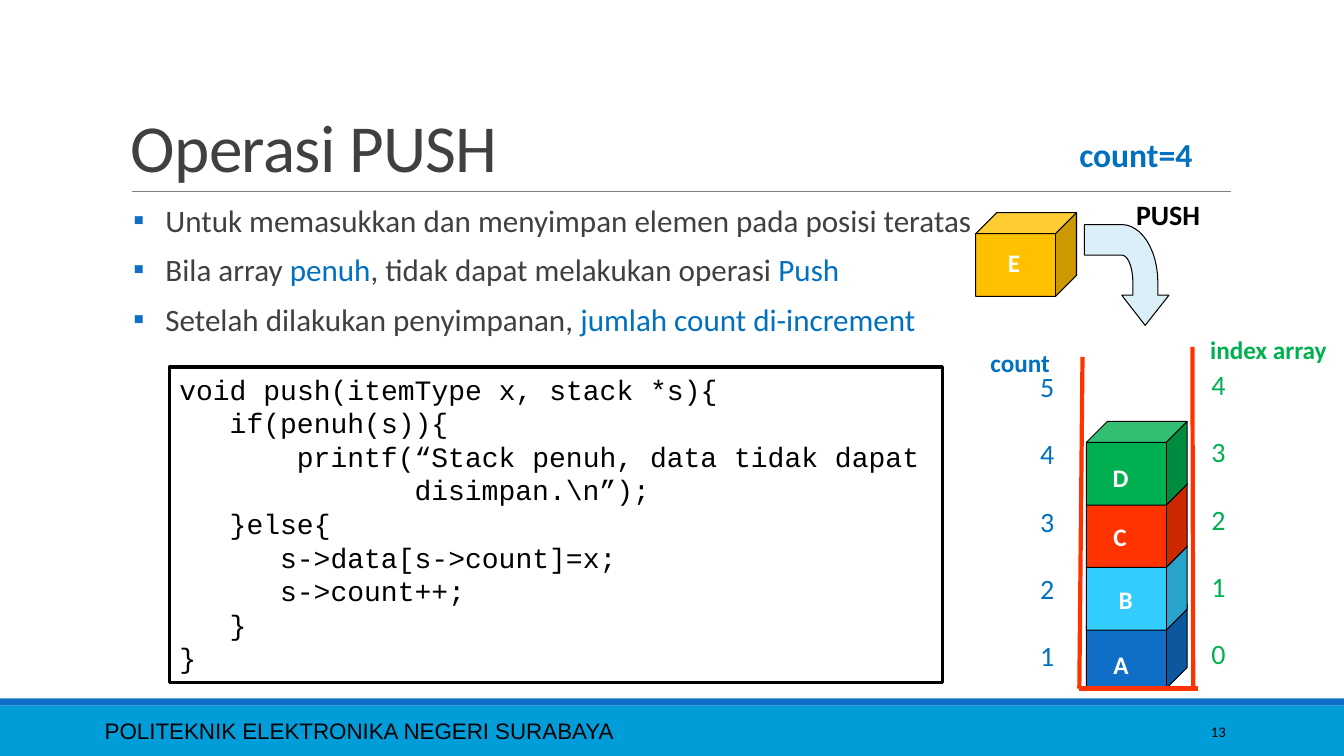
from dataclasses import dataclass
from math import cos, pi, sin

from lxml import etree
from pptx import Presentation
from pptx.dml.color import RGBColor
from pptx.enum.shapes import MSO_CONNECTOR, MSO_SHAPE
from pptx.enum.text import MSO_ANCHOR, PP_ALIGN
from pptx.oxml.ns import qn
from pptx.util import Cm, Pt

RECTANGLE, CUBE = MSO_SHAPE.RECTANGLE, MSO_SHAPE.CUBE
STRAIGHT = MSO_CONNECTOR.STRAIGHT
TOP, MIDDLE, BOTTOM = MSO_ANCHOR.TOP, MSO_ANCHOR.MIDDLE, MSO_ANCHOR.BOTTOM
LEFT, CENTER, RIGHT = PP_ALIGN.LEFT, PP_ALIGN.CENTER, PP_ALIGN.RIGHT


@dataclass(frozen=True)
class Theme:
    sans: str = "Calibri"
    footer_font: str = "Arial"
    mono: str = "Courier New"
    band: str = "009DD9"
    accent: str = "0F6FC6"
    rule: str = "808080"
    ink: str = "404040"
    black: str = "000000"
    white: str = "FFFFFF"
    blue: str = "0070C0"
    green: str = "00B050"
    red: str = "FF3300"
    sky: str = "33CCFF"
    gold: str = "FFC000"
    pale: str = "DBEFF9"
    title_size: float = 48
    count_size: float = 24
    body_size: float = 22.2
    code_size: float = 20
    label_size: float = 18
    footer_size: float = 16
    page_size: float = 10.5


class SlideBuilder:
    def __init__(self, slide, theme):
        self.shapes = slide.shapes
        self.theme = theme

    def paint(self, shape, fill=None, line=None, weight=0.75):
        shape.shadow.inherit = False
        if fill:
            shape.fill.solid()
            shape.fill.fore_color.rgb = RGBColor.from_string(fill)
        else:
            shape.fill.background()
        if line:
            shape.line.color.rgb = RGBColor.from_string(line)
            shape.line.width = Pt(weight)
        else:
            shape.line.fill.background()
        return shape

    def block(self, kind, box, fill=None, line=None, weight=0.75):
        shape = self.shapes.add_shape(kind, *map(Cm, box))
        return self.paint(shape, fill, line, weight)

    def outline(self, points, fill, line):
        start, *rest = [(Cm(x), Cm(y)) for x, y in points]
        builder = self.shapes.build_freeform(*start, scale=1.0)
        builder.add_line_segments(rest, close=True)
        return self.paint(builder.convert_to_shape(), fill, line)

    def line(self, start, end, color, weight):
        connector = self.shapes.add_connector(STRAIGHT, *map(Cm, start + end))
        connector.line.color.rgb = RGBColor.from_string(color)
        connector.line.width = Pt(weight)
        etree.SubElement(connector._element.spPr, qn("a:effectLst"))

    def text(self, box, paragraphs, size, color, **style):
        holder = self.shapes.add_textbox(*map(Cm, box))
        return self.fill_text(holder, paragraphs, size, color, **style)

    def fill_text(self, holder, paragraphs, size, color, font=None, bold=False,
                  align=LEFT, anchor=TOP, wrap=True, spacing=None, before=0, after=0):
        frame = holder.text_frame
        frame.word_wrap = wrap
        frame.vertical_anchor = anchor
        for position, runs in enumerate(paragraphs):
            paragraph = frame.paragraphs[0] if position == 0 else frame.add_paragraph()
            paragraph.alignment = align
            paragraph.line_spacing = spacing
            paragraph.space_before = Pt(before if position else 0)
            paragraph.space_after = Pt(after)
            for words, tint in runs:
                run = paragraph.add_run()
                run.text = words
                run.font.name = font or self.theme.sans
                run.font.size = Pt(size)
                run.font.bold = bold
                run.font.color.rgb = RGBColor.from_string(tint or color)
        return frame

    def label(self, box, words, size, color, **style):
        return self.text(box, [[(words, None)]], size, color, **style)

    def indent(self, paragraph, margin, hanging=0):
        properties = paragraph._p.get_or_add_pPr()
        properties.set("marL", str(Cm(margin)))
        properties.set("indent", str(Cm(-hanging)))
        return properties

    def bullet(self, paragraph, margin, hanging):
        properties = self.indent(paragraph, margin, hanging)
        color = etree.SubElement(properties, qn("a:buClr"))
        etree.SubElement(color, qn("a:srgbClr"), val=self.theme.accent)
        etree.SubElement(properties, qn("a:buFont"), typeface=self.theme.sans)
        etree.SubElement(properties, qn("a:buChar"), char="▪")


def quarter_arc(center, radii, steps=12):
    angles = [pi / 2 * step / steps for step in range(steps + 1)]
    return [(center[0] + radii[0] * sin(a), center[1] - radii[1] * cos(a)) for a in angles]


def draw_page_frame(page, theme):
    page.block(RECTANGLE, (0, 17.78, 33.87, 1.27), theme.band)
    page.block(RECTANGLE, (0, 17.6, 33.87, 0.18), theme.accent)
    page.line((3.33, 4.83), (31.01, 4.83), theme.rule, 0.5)
    page.label((2.39, 17.91, 21.36, 1.02), "POLITEKNIK ELEKTRONIKA NEGERI SURABAYA",
               theme.footer_size, theme.black, font=theme.footer_font, anchor=MIDDLE)
    page.label((27.51, 17.93, 3.63, 1.02), "13", theme.page_size, theme.black,
               align=RIGHT, anchor=MIDDLE)


def draw_explanation(page, theme):
    title = page.label((3.05, 0.79, 27.94, 4.04), "Operasi PUSH", theme.title_size,
                       theme.ink, anchor=BOTTOM, spacing=0.85)
    title.paragraphs[0].runs[0]._r.get_or_add_rPr().set("spc", "-50")

    rules = [
        [("Untuk memasukkan dan menyimpan elemen pada posisi teratas", None)],
        [("Bila array ", None), ("penuh", theme.blue),
         (", tidak dapat melakukan operasi ", None), ("Push", theme.blue)],
        [("Setelah dilakukan penyimpanan, ", None),
         ("jumlah count di-increment", theme.blue)],
    ]
    body = page.text((3.05, 5.13, 22.15, 3.91), rules, theme.body_size, theme.ink,
                     spacing=0.8, before=12, after=2)
    body.margin_left = body.margin_right = 0
    for paragraph in body.paragraphs:
        page.bullet(paragraph, 1.12, 0.81)

    code = [
        (0, "void push(itemType x, stack *s){"),
        (3, "if(penuh(s)){"),
        (7, "printf(“Stack penuh, data tidak dapat"),
        (14, "disimpan.\\n”);"),
        (3, "}else{"),
        (6, "s->data[s->count]=x;"),
        (6, "s->count++;"),
        (3, "}"),
        (0, "}"),
    ]
    code_box = page.block(RECTANGLE, (4.27, 9.25, 19.48, 7.95), line=theme.black, weight=2.25)
    listing = page.fill_text(code_box, [[(words, None)] for _, words in code],
                             theme.code_size, theme.black, font=theme.mono, spacing=Pt(24))
    character = 2.54 / 6
    for paragraph, (columns, _) in zip(listing.paragraphs, code):
        page.indent(paragraph, columns * character)


def draw_stack(page, theme):
    elements = [
        ("A", theme.accent, (27.38, 15.24), (27.81, 16.23)),
        ("B", theme.sky, (27.38, 13.77), (27.94, 14.61)),
        ("C", theme.red, (27.38, 12.19), (27.81, 13)),
        ("D", theme.green, (27.38, 10.62), (27.79, 11.53)),
        ("E", theme.gold, (24.59, 5.36), (25.15, 6.1)),
    ]
    for letter, color, cube, caption in elements:
        page.block(CUBE, cube + (2.54, 2.11), color, theme.black)
        page.label(caption + (0.9, 1.02), letter, theme.label_size, theme.white,
                   bold=True, wrap=False)

    walls = [((27.28, 8.99), (27.2, 17.35)), ((27.2, 17.35), (30.18, 17.35)),
             ((30.07, 17.32), (30.05, 8.74))]
    for start, end in walls:
        page.line(start, end, theme.red, 3)

    bend = (28.27, 7.11)
    push_arrow = [(27.33, 5.66), *quarter_arc(bend, (0.91, 1.45)), (29.18, 7.44),
                  (29.46, 7.44), (28.86, 8.2), (28.27, 7.44), (28.55, 7.44),
                  *reversed(quarter_arc(bend, (0.28, 0.68))), (27.33, 6.43)]
    page.outline(push_arrow, theme.pale, theme.black)
    page.label((28.27, 4.85, 2.34, 1.12), "PUSH", theme.code_size, theme.black,
               bold=True, align=CENTER)

    for corner, digits, color in [((25.96, 9.19), "54321", theme.blue),
                                  ((30.28, 9.14), "43210", theme.green)]:
        page.text(corner + (0.86, 7.95), [[(digit, None)] for digit in digits],
                  theme.code_size, color, wrap=False, spacing=Pt(24), before=24)

    for corner, words, size, color in [
        ((26.95, 3.25), "count=4", theme.count_size, theme.blue),
        ((30.25, 8.31), "index array", theme.label_size, theme.green),
        ((24.71, 8.64), "count", theme.label_size, theme.blue),
    ]:
        page.label(corner + (3.51, 1.02), words, size, color, bold=True)


def main():
    presentation = Presentation()
    presentation.slide_width, presentation.slide_height = Cm(33.87), Cm(19.05)
    theme = Theme()
    page = SlideBuilder(presentation.slides.add_slide(presentation.slide_layouts[6]), theme)
    draw_page_frame(page, theme)
    draw_explanation(page, theme)
    draw_stack(page, theme)
    presentation.save("out.pptx")


if __name__ == "__main__":
    main()
